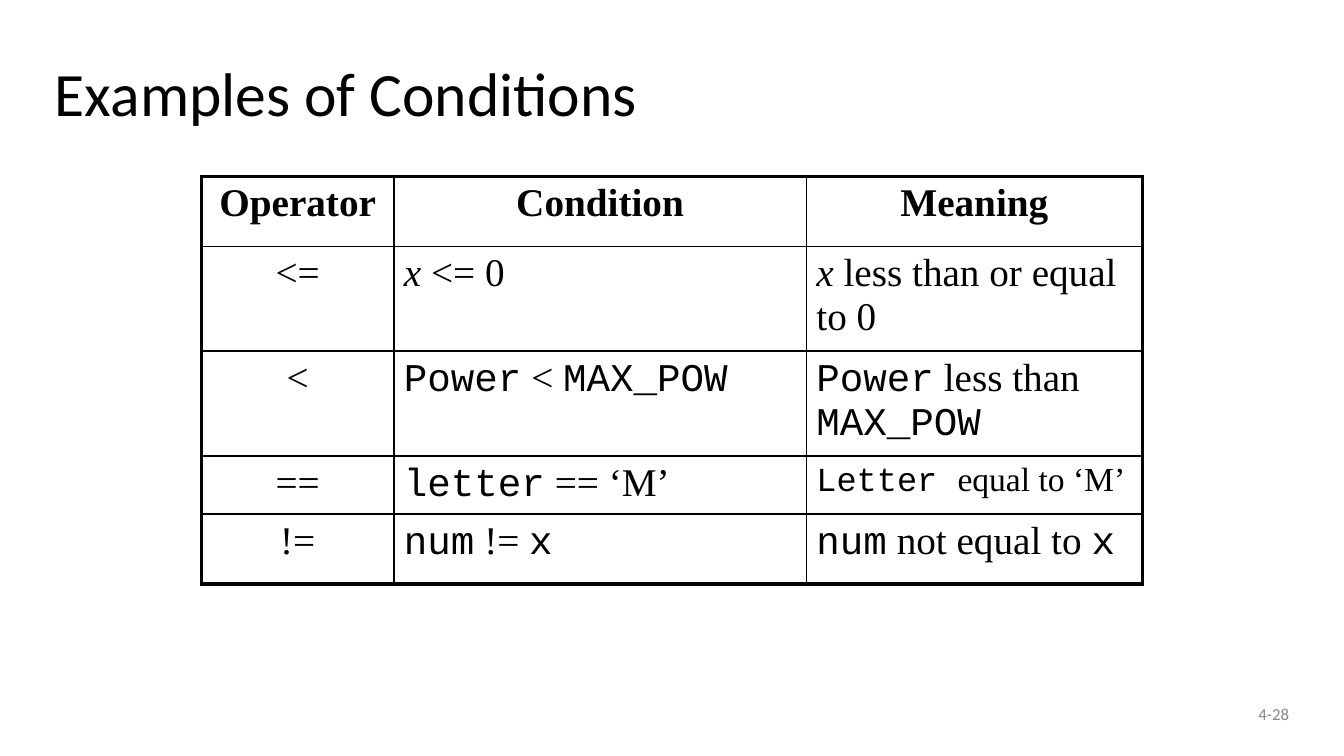
import pptx
import pptx.util
import pptx.dml.color
import pptx.enum.text
import pptx.oxml
import pptx.oxml.ns

Pt = pptx.util.Pt
ALIGN = pptx.enum.text.PP_ALIGN
MIDDLE = pptx.enum.text.MSO_ANCHOR.MIDDLE
BLACK = pptx.dml.color.RGBColor(0x00, 0x00, 0x00)
GRAY = pptx.dml.color.RGBColor(0x88, 0x88, 0x88)

SERIF = {"name": "Times New Roman", "size": Pt(21), "bold": False}
BOLD = {**SERIF, "bold": True}
ITALIC = {**SERIF, "italic": True}
CODE = {**SERIF, "name": "Courier New"}
SMALL = {"size": Pt(18)}
TITLE = {"name": "Calibri", "size": Pt(33)}
NUMBER = {"name": "Calibri", "size": Pt(9)}
INSET = {"margin_left": Pt(5.4), "margin_right": Pt(5.4),
         "margin_top": Pt(2.7), "margin_bottom": Pt(2.7)}
FRAME = {**INSET, "word_wrap": True, "vertical_anchor": MIDDLE}
CELL = {"margin_left": Pt(5.4), "margin_right": Pt(5.4),
        "margin_top": Pt(2.88), "margin_bottom": Pt(2.88)}

COLS = (103, 221, 180)
ROWS = (37.5, 37.5, 37.5, 8.64, 37.5)
THIN, THICK = 1, 2.25
DATA = [
    [[(head, BOLD)] for head in ("Operator", "Condition", "Meaning")],
    [[("<=", SERIF)],
     [("x", ITALIC), (" <= 0", SERIF)],
     [("x", ITALIC), (" less than or equal to 0", SERIF)]],
    [[("<", SERIF)],
     [("Power", CODE), (" < ", SERIF), ("MAX_POW", CODE)],
     [("Power", CODE), (" less than ", SERIF), ("MAX_POW", CODE)]],
    [[("==", SERIF)],
     [("letter", CODE), (" == ‘M’", SERIF)],
     [("Letter ", {**CODE, **SMALL}), ("equal to ‘M’", {**SERIF, **SMALL})]],
    [[("!=", SERIF)],
     [("num", CODE), (" != ", SERIF), ("x", CODE)],
     [("num", CODE), (" not equal to ", SERIF), ("x", CODE)]],
]


def style(item, form):
    for key, value in form.items():
        setattr(item, key, value)


def write(frame, runs, align, color=BLACK):
    para = frame.paragraphs[0]
    para.alignment = align
    for text, form in runs:
        run = para.add_run()
        run.text = text
        style(run.font, form)
        run.font.color.rgb = color
    return para


def border(cell, side, width):
    props = cell._tc.get_or_add_tcPr()
    props.append(pptx.oxml.parse_xml(
        f'<a:ln{side} {pptx.oxml.ns.nsdecls("a")} w="{Pt(width)}">'
        f'<a:solidFill><a:srgbClr val="{BLACK}"/></a:solidFill></a:ln{side}>'))


def add_title(slide, text):
    title = slide.shapes.title
    style(title, {"left": Pt(24), "top": Pt(18),
                  "width": Pt(672), "height": Pt(67.5)})
    style(title.text_frame, FRAME)
    para = write(title.text_frame, [(text, TITLE)], ALIGN.LEFT)
    para.line_spacing = 0.9


def add_number(slide, text):
    box = slide.shapes.add_textbox(Pt(546), Pt(368.5), Pt(150), Pt(27.5))
    style(box.text_frame, FRAME)
    write(box.text_frame, [(text, NUMBER)], ALIGN.RIGHT, GRAY)


def add_grid(slide):
    grid = slide.shapes.add_table(len(ROWS), len(COLS), Pt(108), Pt(94.5),
                                  Pt(sum(COLS)), Pt(sum(ROWS))).table
    style(grid, {"first_row": False, "horz_banding": False})
    for col, width in zip(grid.columns, COLS):
        col.width = Pt(width)
    for row, height in zip(grid.rows, ROWS):
        row.height = Pt(height)
    for r, line in enumerate(DATA):
        for c, runs in enumerate(line):
            cell = grid.cell(r, c)
            style(cell, CELL)
            outer = {"L": c == 0, "R": c == len(COLS) - 1,
                     "T": r == 0, "B": r == len(ROWS) - 1}
            for side, edge in outer.items():
                border(cell, side, THICK if edge else THIN)
            cell.fill.background()
            center = r == 0 or c == 0
            write(cell.text_frame, runs, ALIGN.CENTER if center else ALIGN.LEFT)


def main():
    deck = pptx.Presentation()
    style(deck, {"slide_width": Pt(720), "slide_height": Pt(405)})
    slide = deck.slides.add_slide(deck.slide_layouts[5])
    add_number(slide, "4-28")
    add_title(slide, "Examples of Conditions")
    add_grid(slide)
    deck.save("out.pptx")


if __name__ == "__main__":
    main()
